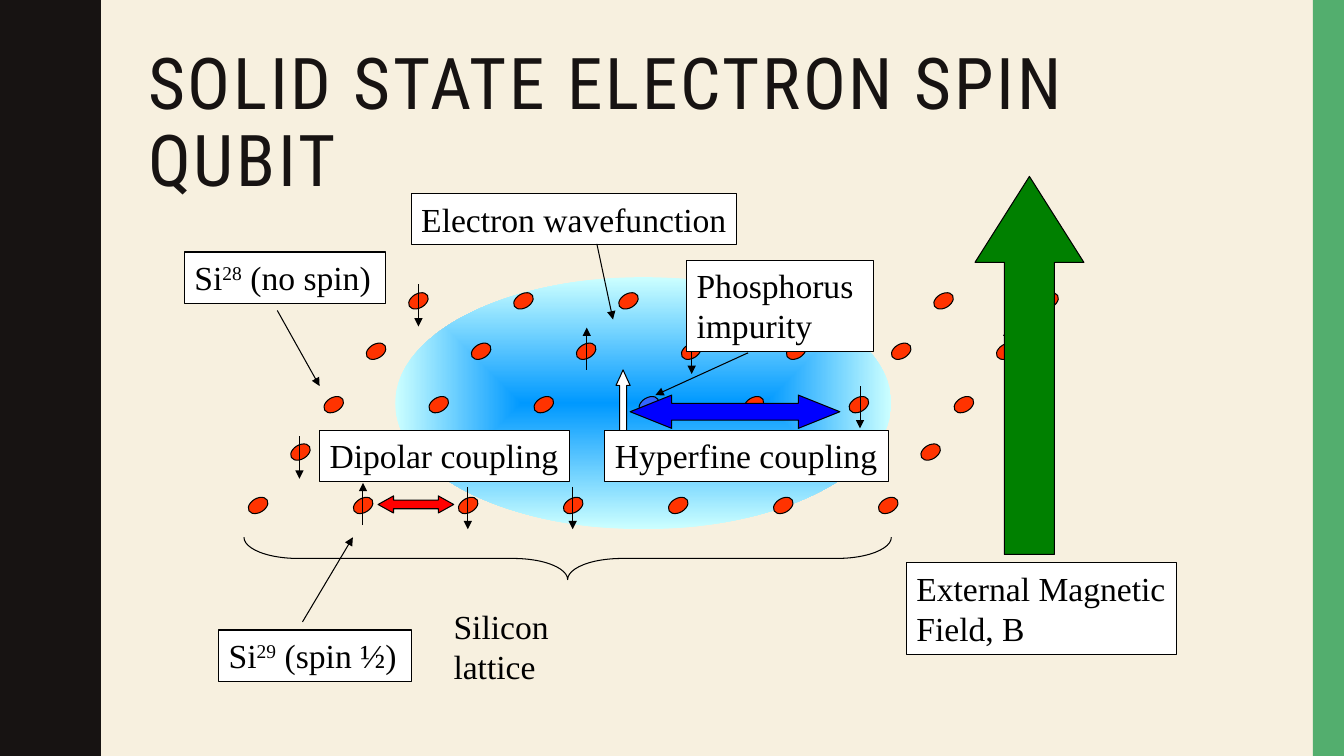
import pptx
import pptx.dml.color
import pptx.enum.dml
import pptx.enum.shapes
import pptx.enum.text
import pptx.oxml.ns
import pptx.oxml.xmlchemy
import pptx.util
from dataclasses import dataclass
from typing import Any
from lxml import etree

Inches = pptx.util.Inches
Pt = pptx.util.Pt
KIND = pptx.enum.shapes.MSO_SHAPE
ALIGN = pptx.enum.text.PP_ALIGN
ANCHOR = pptx.enum.text.MSO_ANCHOR
FIT = pptx.enum.text.MSO_AUTO_SIZE
qn = pptx.oxml.ns.qn

BLACK, WHITE, INK = "000000", "FFFFFF", "171312"
RED, BLUE = "FF3300", "3366FF"
STEP = 6.25 / 6  # gap between atoms in a row


@dataclass
class Row:
    left: float
    top: float
    slots: tuple[int, ...]


@dataclass
class Spin:
    x: float
    y: float
    up: bool = False


@dataclass
class Label:
    box: tuple[float, float, float, float]
    lines: tuple[tuple[str, ...], ...]  # every second run is raised
    framed: bool = True


@dataclass
class Arrow:
    kind: Any
    box: tuple[float, float, float, float]
    fill: str
    bends: tuple[float, float]


ALL = tuple(range(7))
ROWS = [
    Row(3.66, 3.38, ALL),
    Row(3.24, 3.91, ALL),
    Row(2.91, 4.38, (0, 3, 6)),
    Row(2.49, 4.91, ALL),
    Row(4.08, 2.88, (0, 1, 2, 5, 6)),
]
DONOR = (3.91, 3)  # row top and slot of the phosphorus atom
SPINS = [
    Spin(2.97, 4.33), Spin(6.86, 3.29), Spin(8.53, 3.83),
    Spin(5.82, 3.25, True), Spin(5.68, 4.83), Spin(4.15, 2.82),
    Spin(9.99, 3.25, True), Spin(3.6, 4.79, True), Spin(4.64, 4.83),
]
QUBIT = Arrow(KIND.UP_ARROW, (6.11, 3.67, 0.14, 0.61), WHITE, (0.5, 1.1))
FIELD = Arrow(KIND.UP_ARROW, (9.67, 1.75, 1.08, 3.75), "008000", (0.46, 0.79))
HYPER = Arrow(KIND.LEFT_RIGHT_ARROW, (6.25, 3.92, 2.08, 0.33), "0000FF", (0.5, 1.25))
DIPOLE = Arrow(KIND.LEFT_RIGHT_ARROW, (3.75, 4.92, 0.75, 0.17), "FF0000", (0.5, 0.9))
LABELS = [
    Label((4.4, 5.96, 2, 0.91), (("Silicon lattice",),), False),
    Label((6.81, 2.58, 1.85, 0.91), (("Phosphorus",), ("impurity",))),
    Label((4.08, 1.92, 3.23, 0.51), (("Electron wavefunction",),)),
    Label((1.83, 2.5, 1.99, 0.51), (("Si", "28", " (no spin)"),)),
    Label((2.17, 6.25, 1.91, 0.51), (("Si", "29", " (spin ½)"),)),
    Label((8.99, 5.58, 2.68, 0.91), (("External Magnetic",), ("Field, B",))),
    Label((6, 4.27, 2.81, 0.51), (("Hyperfine coupling",),)),
    Label((3.17, 4.27, 2.48, 0.51), (("Dipolar coupling",),)),
]
LEADS = [
    (5.92, 2.42, 6.08, 3.17),
    (3, 6.17, 3.5, 5.33),
    (2.75, 3.08, 3.17, 3.83),
]
# Down and across for one half wave of the left edge
BEND = [
    (0, 0.78), (0.07, 0.78), (0.14, 0.79), (0.2, 0.8), (0.25, 0.81),
    (0.29, 0.83), (0.33, 0.85), (0.38, 0.87), (0.42, 0.89), (0.46, 0.91),
    (0.5, 0.93), (0.55, 0.95), (0.61, 0.96), (0.68, 0.97), (0.75, 0.97),
]


def paint(part: Any, tone: str) -> None:
    part.solid()
    part.fore_color.rgb = hue(tone)


def hue(tone: str) -> pptx.dml.color.RGBColor:
    return pptx.dml.color.RGBColor.from_string(tone)


def finish(shape: Any, fill: str | None, line: str | None = BLACK) -> None:
    shape.shadow.inherit = False
    if fill:
        paint(shape.fill, fill)
    else:
        shape.fill.background()
    if line:
        paint(shape.line.fill, line)
        shape.line.width = Pt(0.75)
    else:
        shape.line.fill.background()


def add(slide: Any, kind: Any, box: tuple, fill: str | None, line: str | None = BLACK) -> Any:
    shape = slide.shapes.add_shape(kind, *map(Inches, box))
    finish(shape, fill, line)
    return shape


def point(slide: Any, ends: tuple) -> None:
    lead = slide.shapes.add_connector(
        pptx.enum.shapes.MSO_CONNECTOR.STRAIGHT, *map(Inches, ends))
    paint(lead.line.fill, BLACK)
    lead.line.width = Pt(0.75)
    etree.SubElement(lead.line._get_or_add_ln(), qn("a:tailEnd"), type="triangle")
    etree.SubElement(lead._element.spPr, qn("a:effectLst"))


def block(slide: Any, arrow: Arrow) -> None:
    shape = add(slide, arrow.kind, arrow.box, arrow.fill)
    for n, bend in enumerate(arrow.bends):
        shape.adjustments[n] = bend


def write(para: Any, text: str, size: float, face: str, tone: str) -> Any:
    run = para.add_run()
    run.text = text
    run.font.size, run.font.name = Pt(size), face
    run.font.color.rgb = hue(tone)
    return run


def tag(slide: Any, label: Label) -> None:
    if label.framed:
        shape = add(slide, KIND.RECTANGLE, label.box, WHITE)
    else:
        shape = slide.shapes.add_textbox(*map(Inches, label.box))
    frame = shape.text_frame
    frame.word_wrap = not label.framed
    frame.auto_size = FIT.SHAPE_TO_FIT_TEXT
    frame.vertical_anchor = ANCHOR.TOP
    for n, line in enumerate(label.lines):
        para = frame.add_paragraph() if n else frame.paragraphs[0]
        para.alignment = ALIGN.LEFT
        for k, text in enumerate(line):
            run = write(para, text, 24, "Times New Roman", BLACK)
            if k % 2:
                run.font._element.set("baseline", "30000")


def frame_page(slide: Any) -> None:
    paint(slide.background.fill, "F7F0DF")
    edge = []
    for n in range(5):
        top = 1.5 * n
        edge += [(x, top + y) for y, x in BEND]
        edge += [(x, top + 1.5 - y) for y, x in reversed(BEND[:-1])]
    pen = slide.shapes.build_freeform(0, 0, scale=Inches(1))
    pen.add_line_segments(edge + [(0, 7.5)])
    finish(pen.convert_to_shape(), INK, None)
    add(slide, KIND.RECTANGLE, (13.02, 0, 0.31, 7.5), "53AE6E", None)


def head(slide: Any) -> None:
    title = slide.shapes.title
    title.left, title.top, title.width, title.height = map(Inches, (1.37, 0.42, 11.13, 1.63))
    frame = title.text_frame
    frame.word_wrap, frame.auto_size = True, FIT.NONE
    frame.vertical_anchor = ANCHOR.MIDDLE
    para = frame.paragraphs[0]
    para.alignment, para.line_spacing = ALIGN.LEFT, 0.9
    run = write(para, "SOLID STATE ELECTRON SPIN QUBIT", 51, "Roboto Condensed", INK)
    run.font._element.set("spc", "200")


def cloud(slide: Any) -> None:
    shape = add(slide, KIND.OVAL, (3.92, 2.75, 4.92, 2.5), None, None)
    shape.fill.gradient()
    for stop, tone, spot in zip(shape.fill.gradient_stops, ("0099FF", "CCFFFF"), (0, 1)):
        stop.color.rgb, stop.position = hue(tone), spot
    grad = shape._element.spPr.find(qn("a:gradFill"))
    grad.remove(grad.find(qn("a:lin")))
    way = etree.SubElement(grad, qn("a:path"), path="shape")
    etree.SubElement(way, qn("a:fillToRect"), l="50000", t="50000", r="50000", b="50000")


def main() -> None:
    deck = pptx.Presentation()
    deck.slide_width, deck.slide_height = Inches(13.33), Inches(7.5)
    slide = deck.slides.add_slide(deck.slide_layouts[5])
    frame_page(slide)
    head(slide)

    # Silicon lattice with its spins
    cloud(slide)
    for row in ROWS:
        for n in row.slots:
            tone = BLUE if (row.top, n) == DONOR else RED
            atom = add(slide, KIND.OVAL, (row.left + n * STEP, row.top, 0.14, 0.21), tone)
            atom.rotation = 59.2
    for spin in SPINS:
        low, high = spin.y + 0.42, spin.y
        start, end = (low, high) if spin.up else (high, low)
        point(slide, (spin.x, start, spin.x, end))
    point(slide, (7.42, 3.5, 6.5, 3.92))
    block(slide, QUBIT)

    # Brace below the lattice
    brace = add(slide, KIND.LEFT_BRACE, (5.42, 2.33, 0.42, 6.42), None)
    brace.rotation = 270
    brace.adjustments[0] = 1.28

    # Field, couplings, labels and leads
    for arrow in (FIELD, HYPER):
        block(slide, arrow)
    for label in LABELS:
        tag(slide, label)
    block(slide, DIPOLE)
    for ends in LEADS:
        point(slide, ends)
    deck.save("out.pptx")


if __name__ == "__main__":
    main()
